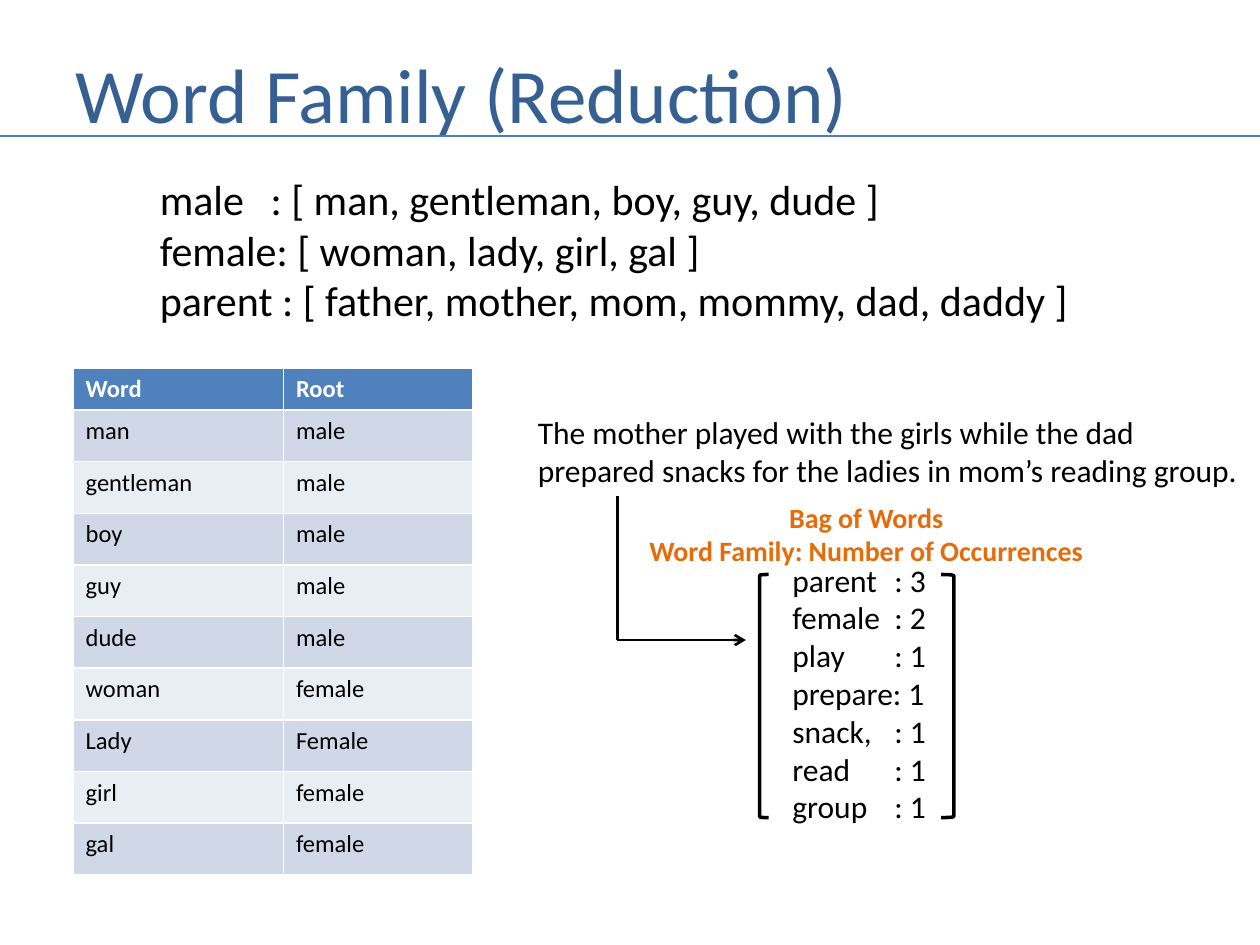
from pptx import Presentation
from pptx.dml.color import RGBColor
from pptx.enum.shapes import MSO_CONNECTOR, MSO_SHAPE
from pptx.enum.text import MSO_ANCHOR, MSO_AUTO_SIZE, PP_ALIGN
from pptx.oxml.ns import qn
from pptx.util import Inches, Pt
from lxml.etree import SubElement

FONT = "Calibri"
BLACK = RGBColor(0x00, 0x00, 0x00)
WHITE = RGBColor(0xFF, 0xFF, 0xFF)
TITLE_BLUE = RGBColor(0x37, 0x60, 0x92)
RULE_BLUE = RGBColor(0x4B, 0x7E, 0xBC)
HEADER_BLUE = RGBColor(0x4F, 0x81, 0xBD)
BANDS = (RGBColor(0xE9, 0xED, 0xF4), RGBColor(0xD0, 0xD8, 0xE8))
ORANGE = RGBColor(0xE4, 0x6C, 0x0A)

FAMILIES = [
    "male\t: [ man, gentleman, boy, guy, dude ]",
    "female: [ woman, lady, girl, gal ]",
    "parent : [ father, mother, mom, mommy, dad, daddy ]",
]
ROOTS = [
    ("Word", "Root"),
    ("man", "male"),
    ("gentleman", "male"),
    ("boy", "male"),
    ("guy", "male"),
    ("dude", "male"),
    ("woman", "female"),
    ("Lady", "Female"),
    ("girl", "female"),
    ("gal", "female"),
]
SENTENCE = [
    "The mother played with the girls while the dad",
    "prepared snacks for the ladies in mom’s reading group.",
]
BAG_HEADING = ["Bag of Words", "Word Family: Number of Occurrences"]
BAG = ["parent\t: 3", "female\t: 2", "play\t: 1", "prepare: 1",
       "snack,\t: 1", "read\t: 1", "group\t: 1"]


def format_para(para, size, color=BLACK, bold=False):
    for span in para.runs:
        span.font.name = FONT
        span.font.size = Pt(size)
        span.font.bold = bold
        span.font.color.rgb = color


def add_text(page, box, lines, size, color=BLACK, bold=False,
             align=PP_ALIGN.LEFT, wrap=False, tab=None):
    frame = page.shapes.add_textbox(*map(Inches, box)).text_frame
    frame.word_wrap = wrap
    frame.auto_size = MSO_AUTO_SIZE.SHAPE_TO_FIT_TEXT
    frame.text = "\n".join(lines)
    for para in frame.paragraphs:
        para.alignment = align
        if tab:
            stops = SubElement(para._p.get_or_add_pPr(), qn("a:tabLst"))
            SubElement(stops, qn("a:tab"), pos=str(Inches(tab)), algn="l")
        format_para(para, size, color, bold)


def add_line(page, start, end, color=BLACK, arrow=False):
    line = page.shapes.add_connector(
        MSO_CONNECTOR.STRAIGHT, *map(Inches, (*start, *end)))
    line.line.color.rgb = color
    line.line.width = Pt(1.5)
    if arrow:
        SubElement(line.line._get_or_add_ln(), qn("a:tailEnd"), type="arrow")
    SubElement(line._element.spPr, qn("a:effectLst"))


def add_title(page, box):
    title = page.shapes.title
    title.left, title.top, title.width, title.height = map(Inches, box)
    frame = title.text_frame
    frame.text = "Word Family (Reduction)"
    frame.vertical_anchor = MSO_ANCHOR.MIDDLE
    frame.paragraphs[0].alignment = PP_ALIGN.LEFT
    format_para(frame.paragraphs[0], 44, TITLE_BLUE)
    add_line(page, (0, 1.08), (10, 1.08), RULE_BLUE)


def add_root_table(page, box):
    table = page.shapes.add_table(
        len(ROOTS), len(ROOTS[0]), *map(Inches, box)).table
    for column, width in zip(table.columns, (1.67, 1.5)):
        column.width = Inches(width)
    for r, words in enumerate(ROOTS):
        header = r == 0
        table.rows[r].height = Inches(0.33 if header else 0.41)
        for c, word in enumerate(words):
            cell = table.cell(r, c)
            cell.text = word
            cell.fill.solid()
            cell.fill.fore_color.rgb = HEADER_BLUE if header else BANDS[r % 2]
            format_para(cell.text_frame.paragraphs[0], 14,
                        WHITE if header else BLACK, header)


def add_bracket(page, kind, box):
    bracket = page.shapes.add_shape(kind, *map(Inches, box))
    bracket.shadow.inherit = False
    bracket.fill.background()
    bracket.line.color.rgb = BLACK
    bracket.line.width = Pt(2)


def add_bag(page, box):
    left, top, width, height = box
    add_text(page, box, BAG, 18, wrap=True, tab=0.81)

    # Elbow arrow from the sentence to the bag
    corner = (4.9, 5.08)
    add_line(page, (4.9, 3.94), corner)
    add_line(page, corner, (5.92, 5.08), arrow=True)

    # Brackets around the counts
    add_bracket(page, MSO_SHAPE.LEFT_BRACKET,
                (left - 0.16, top + 0.16, 0.07, 1.93))
    add_bracket(page, MSO_SHAPE.RIGHT_BRACKET,
                (left + width - 0.1, top + 0.16, 0.1, 1.93))

    add_text(page, (5.03, 3.92, 3.69, 0.64), BAG_HEADING, 16, ORANGE,
             bold=True, align=PP_ALIGN.CENTER)


def main():
    deck = Presentation()
    deck.slide_width, deck.slide_height = Inches(10), Inches(7.5)
    page = deck.slides.add_slide(deck.slide_layouts[5])

    add_title(page, (0.5, 0.3, 9.08, 0.87))
    add_text(page, (1.17, 1.33, 7.47, 1.31), FAMILIES, 24, tab=0.88)
    add_root_table(page, (0.58, 2.92, 3.17, 4.02))
    add_text(page, (4.17, 3.23, 5.82, 0.71), SENTENCE, 18)
    add_bag(page, (6.19, 4.4, 1.38, 2.22))

    deck.save("out.pptx")


if __name__ == "__main__":
    main()
